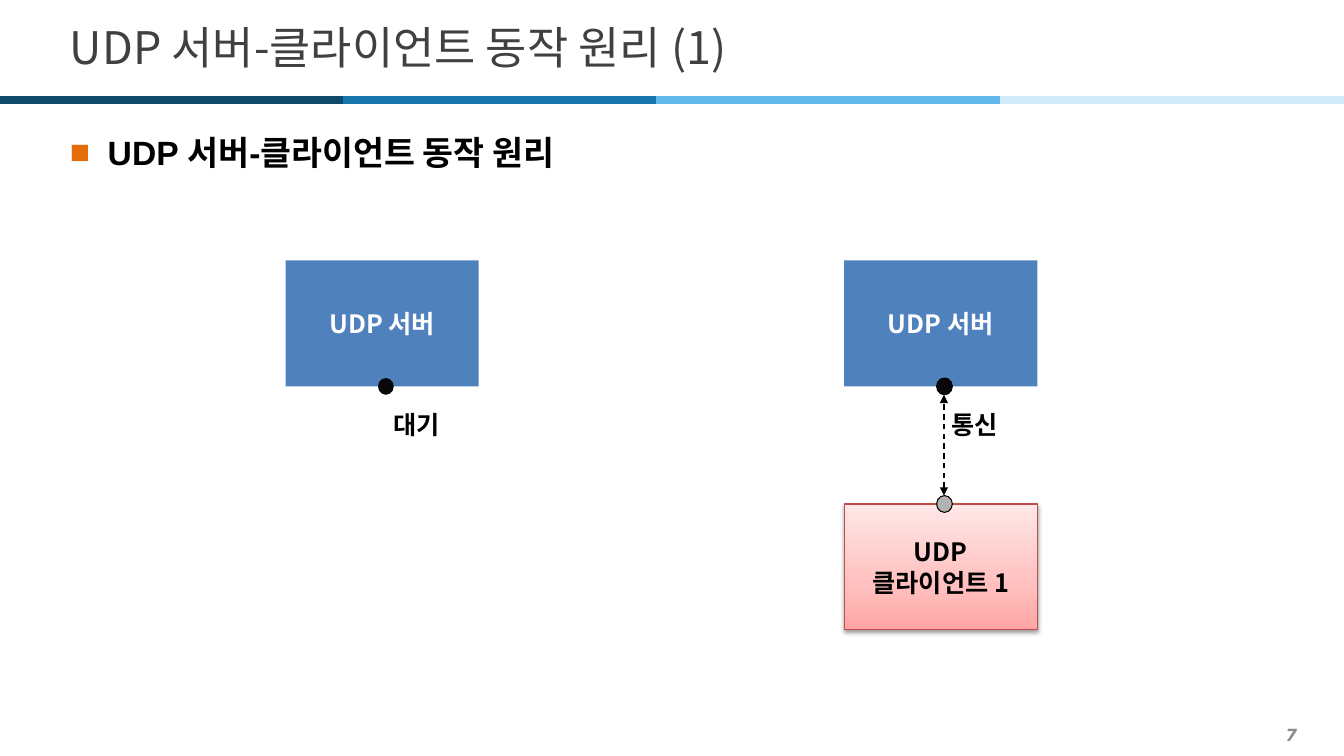
import pptx
import pptx.dml.color
import pptx.enum.dml
import pptx.enum.shapes
import pptx.enum.text
import pptx.oxml
import pptx.oxml.ns
import pptx.util

EMU_PER_PX = 9525
COLORS = {
    "navy": "0F4A6B", "blue": "1877AC", "sky": "61B8E9", "ice": "D3EBF9",
    "title": "404040", "black": "000000", "white": "FFFFFF", "orange": "E46C0A",
    "server": "4F81BD", "socket": "080808", "client_socket": "B2B2B2",
    "client_line": "BF4C48", "client_low": "FFA6A5", "client_mid": "FFC0BF",
    "client_high": "FFE7E7", "page": "8C8C8C",
}
SANS = "Noto Sans CJK KR"
ALIGN = pptx.enum.text.PP_ALIGN
MIDDLE = pptx.enum.text.MSO_ANCHOR.MIDDLE
SHAPES = pptx.enum.shapes.MSO_SHAPE


def px(*lengths):
    return [pptx.util.Emu(length * EMU_PER_PX) for length in lengths]


def rgb(name):
    return pptx.dml.color.RGBColor.from_string(COLORS[name])


def add_xml(parent, tag, inner="", **attributes):
    """Append a drawing element whose children are given as markup."""
    listed = "".join(f' {key}="{value}"' for key, value in attributes.items())
    namespace = pptx.oxml.ns.nsdecls("a")
    element = pptx.oxml.parse_xml(f"<a:{tag} {namespace}{listed}>{inner}</a:{tag}>")
    parent.append(element)
    return element


def color_xml(name, inner=""):
    return f'<a:srgbClr val="{COLORS[name]}">{inner}</a:srgbClr>'


class Deck:
    def __init__(self, width, height):
        self.file = pptx.Presentation()
        self.file.slide_width, self.file.slide_height = px(width, height)
        self.slide = self.file.slides.add_slide(self.file.slide_layouts[1])

    def set_text(self, shape, text, size, color, font=SANS, bold=True, italic=False,
                 align=ALIGN.LEFT, anchor=MIDDLE):
        frame = shape.text_frame
        frame.text = text
        frame.word_wrap = True
        frame.auto_size = pptx.enum.text.MSO_AUTO_SIZE.NONE
        frame.vertical_anchor = anchor
        for paragraph in frame.paragraphs:
            paragraph.alignment = align
            for run in paragraph.runs:
                run.font.size = pptx.util.Pt(size)
                run.font.bold, run.font.italic = bold, italic
                run.font.color.rgb = rgb(color)
                run.font.name = font
                add_xml(run.font._element, "ea", typeface=SANS)

    def placeholder(self, index, box, text, size, color, **style):
        holder = self.slide.placeholders[index]
        holder.left, holder.top, holder.width, holder.height = px(*box)
        self.set_text(holder, text, size, color, **style)
        return holder

    def bullet(self, paragraph, indent):
        paragraph.line_spacing = 1.2
        paragraph.space_before = pptx.util.Pt(0)
        paragraph.space_after = pptx.util.Pt(2)
        properties = paragraph._p.get_or_add_pPr()
        properties.set("marL", str(indent * EMU_PER_PX))
        properties.set("indent", str(-indent * EMU_PER_PX))
        add_xml(properties, "buClr", color_xml("orange"))
        add_xml(properties, "buFont", typeface="Arial")
        add_xml(properties, "buChar", char="■")

    def label(self, box, text, size, color, **style):
        self.set_text(self.slide.shapes.add_textbox(*px(*box)), text, size, color, **style)

    def shape(self, kind, box, fill, line=None):
        shape = self.slide.shapes.add_shape(kind, *px(*box))
        shape.shadow.inherit = False
        shape.fill.solid()
        shape.fill.fore_color.rgb = rgb(fill)
        if line:
            shape.line.color.rgb = rgb(line)
            shape.line.width = pptx.util.Pt(0.75)
        else:
            shape.line.fill.background()
        return shape

    def node(self, box, text, fill, color, line=None):
        node = self.shape(SHAPES.RECTANGLE, box, fill, line)
        self.set_text(node, text, 18, color, align=ALIGN.CENTER)
        return node

    def shade(self, shape, stops):
        """Give a shape an upward gradient and a soft shadow below it."""
        properties = shape._element.spPr
        listed = "".join(f'<a:gs pos="{percent * 1000}">{color_xml(name)}</a:gs>'
                         for percent, name in stops)
        gradient = add_xml(properties, "gradFill",
                           f'<a:gsLst>{listed}</a:gsLst><a:lin ang="16200000" scaled="0"/>')
        solid = properties.find(pptx.oxml.ns.qn("a:solidFill"))
        properties.replace(solid, gradient)
        effects = properties.find(pptx.oxml.ns.qn("a:effectLst"))
        add_xml(effects, "outerShdw", color_xml("black", '<a:alpha val="38000"/>'),
                blurRad=39370, dist=20320, dir=5400000, rotWithShape=0)

    def line(self, start, end, color, width):
        line = self.slide.shapes.add_connector(
            pptx.enum.shapes.MSO_CONNECTOR.STRAIGHT, *px(*start, *end))
        line.line.color.rgb = rgb(color)
        line.line.width = pptx.util.Pt(width)
        add_xml(line._element.spPr, "effectLst")
        return line

    def dashed_arrow(self, start, end):
        arrow = self.line(start, end, "black", 1)
        arrow.line.dash_style = pptx.enum.dml.MSO_LINE.DASH
        for tag in ("headEnd", "tailEnd"):
            add_xml(arrow.line._get_or_add_ln(), tag, type="triangle")


def main():
    deck = Deck(1280, 720)
    deck.label((19, 685, 1226, 30), "7", 12, "page", font="DejaVu Sans",
               italic=True, align=ALIGN.RIGHT)

    band_edges = (0, 327, 625, 952, 1280)
    for left, right, color in zip(band_edges, band_edges[1:], ("navy", "blue", "sky", "ice")):
        deck.line((left, 95), (right, 95), color, 6)

    deck.placeholder(0, (57, 12, 1172, 65), "UDP 서버-클라이언트 동작 원리 (1)",
                     32, "title", bold=False)
    topic = deck.placeholder(1, (57, 113, 1172, 579), "UDP 서버-클라이언트 동작 원리",
                             24, "black", font="Arial",
                             anchor=pptx.enum.text.MSO_ANCHOR.TOP)
    deck.bullet(topic.text_frame.paragraphs[0], 36)

    stage_gap = 532
    for stage, (state, socket_line) in enumerate((("대기", None), ("통신", "black"))):
        shift = stage * stage_gap
        deck.node((272 + shift, 248, 184, 120), "UDP 서버", "server", "white")
        deck.shape(SHAPES.OVAL, (360 + shift, 360, 15, 16), "socket", socket_line)
        deck.label((365 + shift, 392, 162, 24), state, 18, "black")

    client = deck.node((272 + stage_gap, 480, 184, 120), "UDP\n클라이언트 1",
                       "client_low", "black", "client_line")
    deck.shade(client, ((0, "client_low"), (35, "client_mid"), (100, "client_high")))
    deck.shape(SHAPES.OVAL, (360 + stage_gap, 472, 15, 16), "client_socket", "black")
    socket_center = 367 + stage_gap
    deck.dashed_arrow((socket_center, 472), (socket_center, 376))

    deck.file.save("out.pptx")


if __name__ == "__main__":
    main()
